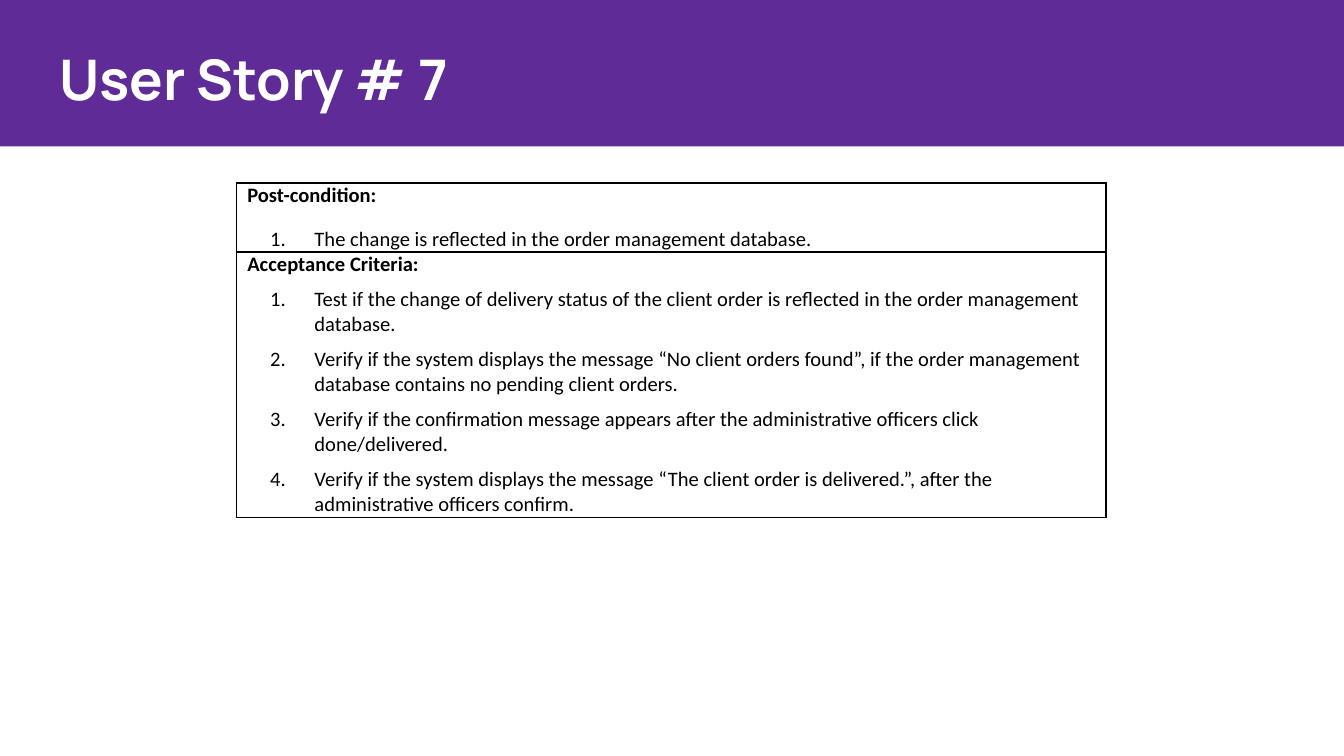
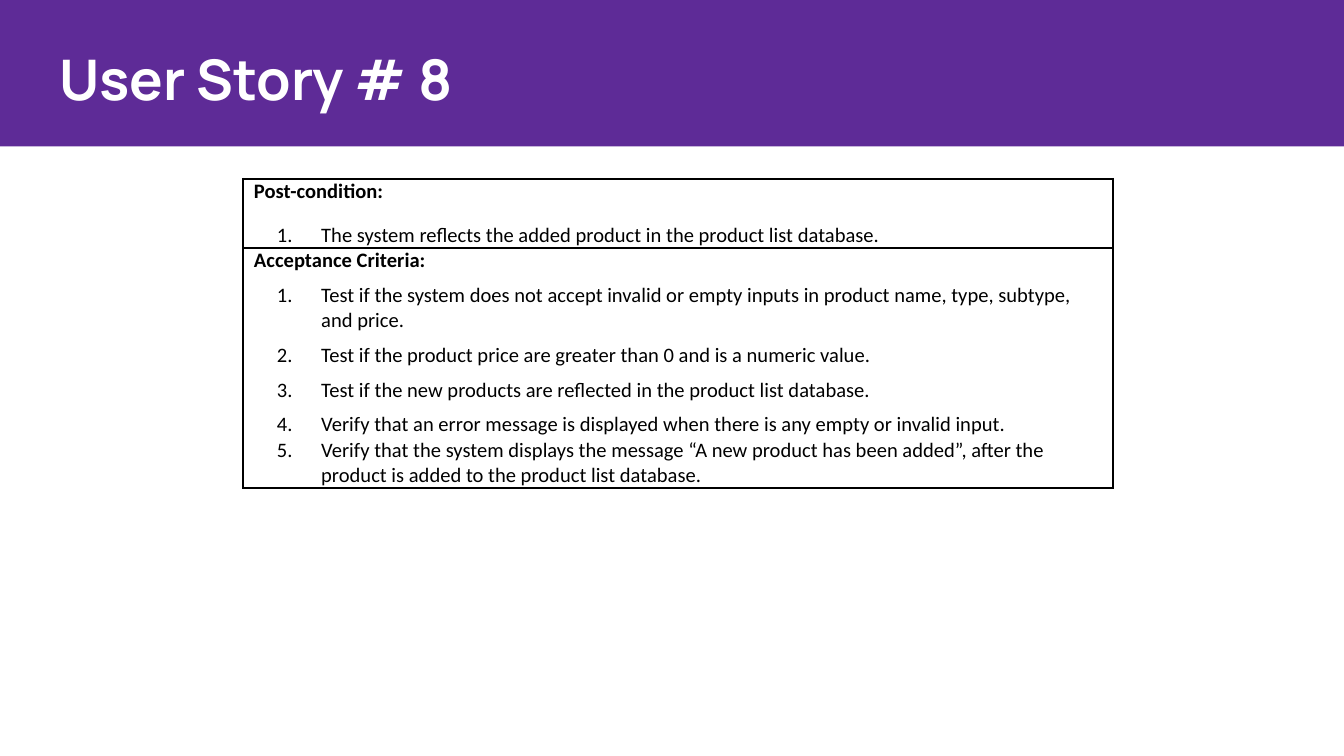
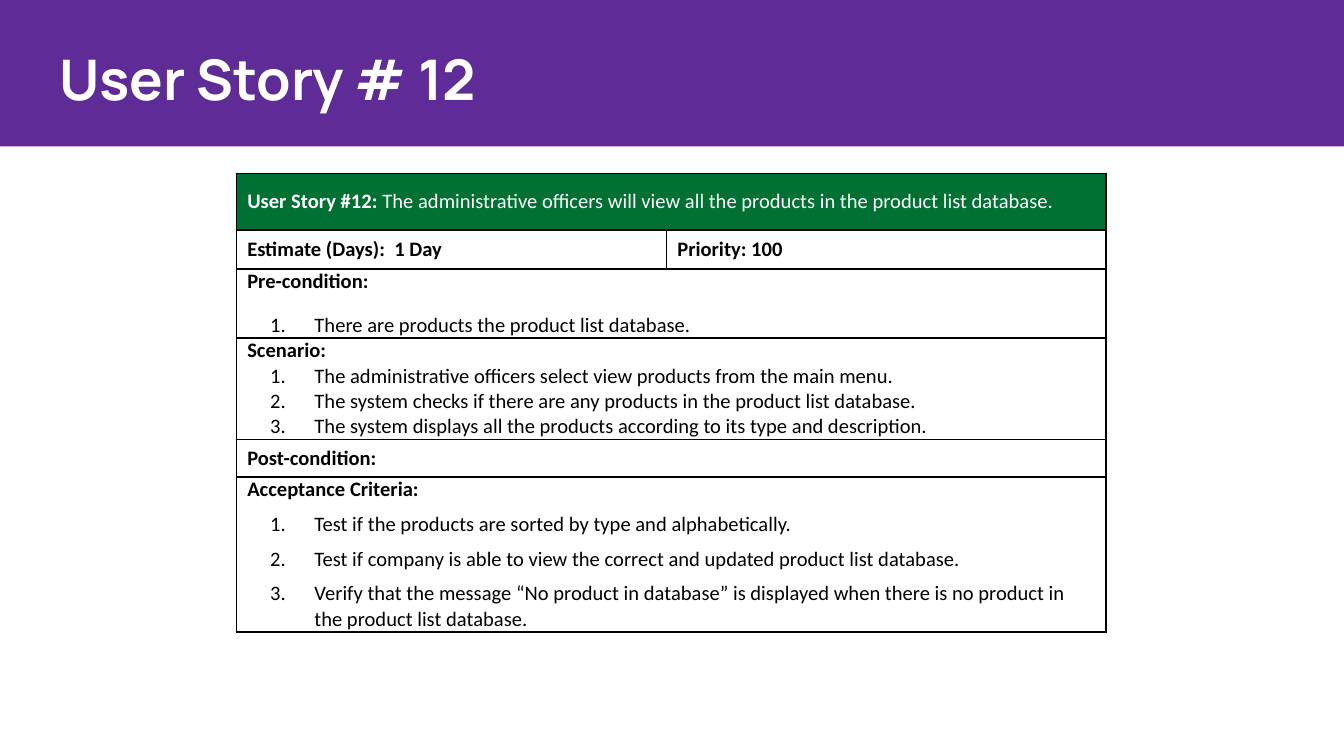
from pptx import Presentation
from pptx.dml.color import RGBColor as Rgb
from pptx.enum.shapes import MSO_SHAPE as Shape
from pptx.enum.text import MSO_ANCHOR as Anchor, PP_ALIGN as Align
from pptx.oxml.ns import qn
from pptx.util import Inches as In, Pt
from lxml.etree import SubElement as Sub, Element

COLORS = {"band": "5E2B97", "head": "007033", "paper": "FFFFFF", "ink": "000000"}
WIDE = 10
HIGH = WIDE * 9 / 16
COLS = (3.2, 3.27)
GAP = 5

# Each row: least height, gap after, bold heads (one per column), plain text
# after the head, then numbered items with (loose) or without (tight) a gap.
STORIES = [
    (7, 1.76, 1.36, [
        dict(high=0.28, after=GAP, heads=["Post-condition:"],
             loose=["The change is reflected in the order management database."]),
        dict(high=0.78, heads=["Acceptance Criteria:"], loose=[
            "Test if the change of delivery status of the client order is reflected in the order management database.",
            "Verify if the system displays the message “No client orders found”, if the order management database contains no pending client orders.",
            "Verify if the confirmation message appears after the administrative officers click done/delivered.",
            "Verify if the system displays the message “The client order is delivered.”, after the administrative officers confirm."]),
    ]),
    (8, 1.81, 1.33, [
        dict(high=0.28, after=GAP, heads=["Post-condition:"],
             loose=["The system reflects the added product in the product list database."]),
        dict(high=0.78, heads=["Acceptance Criteria:"], loose=[
            "Test if the system does not accept invalid or empty inputs in product name, type, subtype, and price.",
            "Test if the product price are greater than 0 and is a numeric value.",
            "Test if the new products are reflected in the product list database.",
            "Verify that an error message is displayed when there is any empty or invalid input."],
            tight=["Verify that the system displays the message “A new product has been added”, after the product is added to the product list database."]),
    ]),
    (12, 1.76, 1.29, [
        dict(high=0.42, after=GAP, heads=["User Story #12: "], fill="head", ink="paper",
             plain="The administrative officers will view all the products in the product list database."),
        dict(high=0.29, after=GAP, heads=["Estimate (Days):  1 Day", "Priority: 100"], fill="paper"),
        dict(high=0.29, after=GAP, heads=["Pre-condition:"],
             loose=["There are products the product list database."]),
        dict(high=0.62, heads=["Scenario:"], tight=[
            "The administrative officers select view products from the main menu.",
            "The system checks if there are any products in the product list database.",
            "The system displays all the products according to its type and description."]),
        dict(high=0.28, after=GAP, heads=["Post-condition:"]),
        dict(high=0.78, heads=["Acceptance Criteria:"], loose=[
            "Test if the products are sorted by type and alphabetically.",
            "Test if company is able to view the correct and updated product list database.",
            "Verify that the message “No product in database” is displayed when there is no product in the product list database."]),
    ]),
]


def style(run, name, size, color, bold):
    run.font.name, run.font.size, run.font.bold = name, Pt(size), bold
    run.font.color.rgb = Rgb.from_string(COLORS[color])


def frame(cell, fill):
    """Fill a cell and draw its four borders."""
    if fill:
        cell.fill.solid()
        cell.fill.fore_color.rgb = Rgb.from_string(COLORS[fill])
    else:
        cell.fill.background()
    props = cell._tc.get_or_add_tcPr()
    for spot, side in enumerate("LRTB"):
        line = Element(qn("a:ln" + side), w=str(Pt(1)))
        Sub(Sub(line, qn("a:solidFill")), qn("a:srgbClr"), val=COLORS["ink"])
        props.insert(spot, line)


deck = Presentation()
deck.slide_width, deck.slide_height = In(WIDE), In(HIGH)

for number, left, top, rows in STORIES:
    slide = deck.slides.add_slide(deck.slide_layouts[5])

    # Band behind the title
    band = slide.shapes.add_shape(Shape.RECTANGLE, 0, In(-0.02), In(WIDE * 1.01), In(1.11))
    band.shadow.inherit = False
    band.fill.solid()
    band.fill.fore_color.rgb = Rgb.from_string(COLORS["band"])
    band.line.fill.background()
    title = slide.shapes.title
    title._element.addprevious(band._element)

    title.left, title.top = In(0.34), In(0.24)
    title.width, title.height = In(WIDE - 2 * 0.34), In(0.68)
    text = title.text_frame
    text.text = f"User Story # {number}"
    text.vertical_anchor = Anchor.MIDDLE
    text.margin_left = text.margin_right = text.margin_top = text.margin_bottom = In(0.1)
    text.paragraphs[0].alignment = Align.LEFT
    style(text.paragraphs[0].runs[0], "Manrope", 30, "paper", True)

    # Story table
    total = sum(row["high"] for row in rows)
    table = slide.shapes.add_table(len(rows), len(COLS), In(left), In(top),
                                   In(sum(COLS)), In(total)).table
    table.first_row = table.horz_banding = False
    for col, width in zip(table.columns, COLS):
        col.width = In(width)

    for index, row in enumerate(rows):
        table.rows[index].height = In(row["high"])
        cells = [table.cell(index, col) for col in range(len(COLS))]
        for cell in cells:
            frame(cell, row.get("fill"))
            cell.margin_left = cell.margin_right = In(0.08)
            cell.margin_top = cell.margin_bottom = 0
            cell.vertical_anchor = Anchor.MIDDLE
        if len(row["heads"]) == 1:
            cells[0].merge(cells[1])

        ink, after = row.get("ink", "ink"), Pt(row.get("after", 0))
        for cell, head in zip(cells, row["heads"]):
            para = cell.text_frame.paragraphs[0]
            para.text = head
            para.space_before, para.space_after = Pt(GAP), after
            style(para.runs[0], "Calibri", 11, ink, True)
            if "plain" in row:
                run = para.add_run()
                run.text = row["plain"]
                style(run, "Calibri", 11, ink, False)

        for kind, before in (("loose", GAP), ("tight", 0)):
            for item in row.get(kind, []):
                para = cells[0].text_frame.add_paragraph()
                para.text = item
                para.space_before, para.space_after = Pt(before), after
                style(para.runs[0], "Calibri", 11, ink, False)
                props = para._p.get_or_add_pPr()
                props.set("marL", str(In(0.5)))
                props.set("indent", str(In(-0.33)))
                Sub(props, qn("a:buAutoNum"), type="arabicPeriod")

deck.save("out.pptx")
